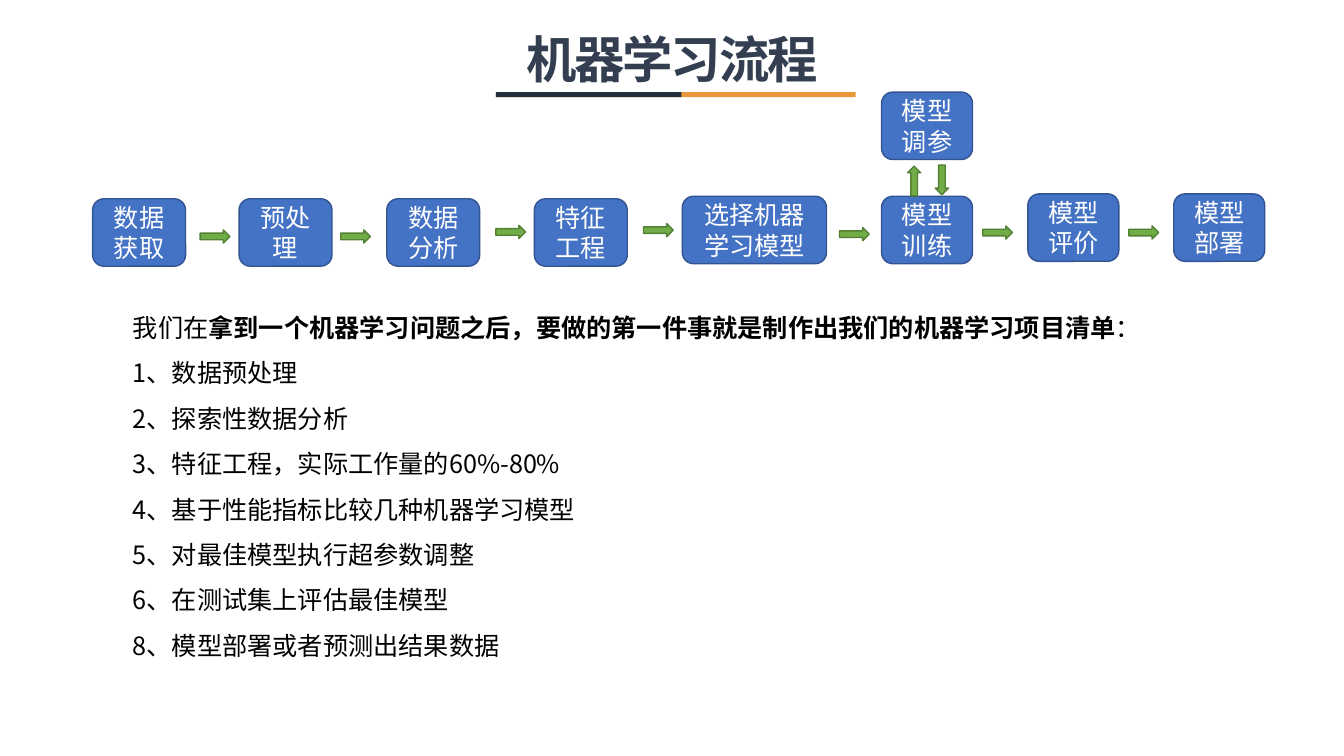
from lxml.etree import SubElement
from pptx import Presentation
from pptx.dml.color import RGBColor
from pptx.enum.shapes import MSO_SHAPE
from pptx.enum.text import MSO_ANCHOR, MSO_AUTO_SIZE, PP_ALIGN
from pptx.oxml.ns import qn
from pptx.util import Pt

FONT = "Noto Sans CJK SC"
COLORS = {
    "title": "333F50", "dark": "232E3B", "orange": "EA973C",
    "box": "4472C4", "box_line": "325491",
    "arrow": "70AD47", "arrow_line": "538035",
    "white": "FFFFFF", "black": "000000",
}
TITLE = "机器学习流程"
RULES = [("orange", 257), ("dark", 132.5)]
STEPS = [
    ("数据获取", 66.2, 142, 66.4),
    ("预处理", 170.8, 142, 66.4),
    ("数据分析", 276.3, 142, 66.4),
    ("特征工程", 381.7, 142, 66.4),
    ("选择机器学习模型", 487.4, 140.2, 103),
    ("模型调参", 629.7, 65.8, 65),
    ("模型训练", 629.7, 140.2, 65),
    ("模型评价", 734.2, 138.5, 65),
    ("模型部署", 838.4, 138.5, 65),
]
ARROWS = [
    (143, 164.2, 0), (243.4, 164.2, 0), (354.2, 161, 0), (459.7, 159.7, 0),
    (599.7, 162.6, 0), (702, 161.4, 0), (806.4, 161.4, 0),
    (662.2, 123.8, 90), (642.4, 124.6, 270),
]
INTRO = [
    ("我们在", False),
    ("拿到一个机器学习问题之后，要做的第一件事就是制作出我们的机器学习项目清单", True),
    ("：", False),
]
CHECKLIST = [
    "1、数据预处理",
    "2、探索性数据分析",
    "3、特征工程，实际工作量的60%-80%",
    "4、基于性能指标比较几种机器学习模型",
    "5、对最佳模型执行超参数调整",
    "6、在测试集上评估最佳模型",
    "8、模型部署或者预测出结果数据",
]
STEP_H = 48.2
ARROW_W, ARROW_H = 21.2, 9.4


def rgb(name):
    return RGBColor.from_string(COLORS[name])


def assign(obj, values):
    for name, value in values.items():
        setattr(obj, name, value)


def add_run(p, text, color, size=18, bold=False):
    r = p.add_run()
    r.text = text
    assign(r.font, {"name": FONT, "size": Pt(size), "bold": bold})
    r.font.color.rgb = rgb(color)
    SubElement(r.font._element, qn("a:ea")).set("typeface", FONT)
    return r


def add_shape(slide, kind, box, fill, line=None):
    sp = slide.shapes.add_shape(kind, *map(Pt, box))
    sp.shadow.inherit = False
    sp.fill.solid()
    sp.fill.fore_color.rgb = rgb(fill)
    if line:
        sp.line.color.rgb = rgb(line)
        sp.line.width = Pt(1)
    else:
        sp.line.fill.background()
    return sp


def add_title(slide):
    sp = slide.shapes.title
    assign(sp, {"left": Pt(66), "top": Pt(21.6), "width": Pt(828), "height": Pt(46)})
    tf = sp.text_frame
    assign(tf, {"vertical_anchor": MSO_ANCHOR.MIDDLE, "auto_size": MSO_AUTO_SIZE.NONE,
                "margin_top": 0, "margin_bottom": 0})
    p = tf.paragraphs[0]
    assign(p, {"alignment": PP_ALIGN.CENTER, "line_spacing": 0.9})
    r = add_run(p, TITLE, "title", 36, True)
    r.font._element.set("spc", "-150")
    for color, width in RULES:
        add_shape(slide, MSO_SHAPE.RECTANGLE, (354.2, 65.8, width, 3.6), color)


def add_flow(slide):
    for text, left, top, width in STEPS:
        sp = add_shape(slide, MSO_SHAPE.ROUNDED_RECTANGLE,
                       (left, top, width, STEP_H), "box", "box_line")
        tf = sp.text_frame
        assign(tf, {"word_wrap": True, "vertical_anchor": MSO_ANCHOR.MIDDLE})
        p = tf.paragraphs[0]
        p.alignment = PP_ALIGN.CENTER
        add_run(p, text, "white")
    for left, top, turn in ARROWS:
        sp = add_shape(slide, MSO_SHAPE.RIGHT_ARROW,
                       (left, top, ARROW_W, ARROW_H), "arrow", "arrow_line")
        sp.rotation = turn


def add_checklist(slide):
    tf = slide.shapes.add_textbox(Pt(87.8), Pt(208.8), Pt(864.7), Pt(265)).text_frame
    assign(tf, {"word_wrap": True, "auto_size": MSO_AUTO_SIZE.SHAPE_TO_FIT_TEXT})
    lines = [INTRO] + [[(text, False)] for text in CHECKLIST]
    for i, runs in enumerate(lines):
        p = tf.add_paragraph() if i else tf.paragraphs[0]
        p.line_spacing = 1.5
        for text, bold in runs:
            add_run(p, text, "black", bold=bold)


def main():
    prs = Presentation()
    assign(prs, {"slide_width": Pt(960), "slide_height": Pt(540)})
    slide = prs.slides.add_slide(prs.slide_layouts[5])
    add_title(slide)
    add_flow(slide)
    add_checklist(slide)
    prs.save("out.pptx")


if __name__ == "__main__":
    main()
